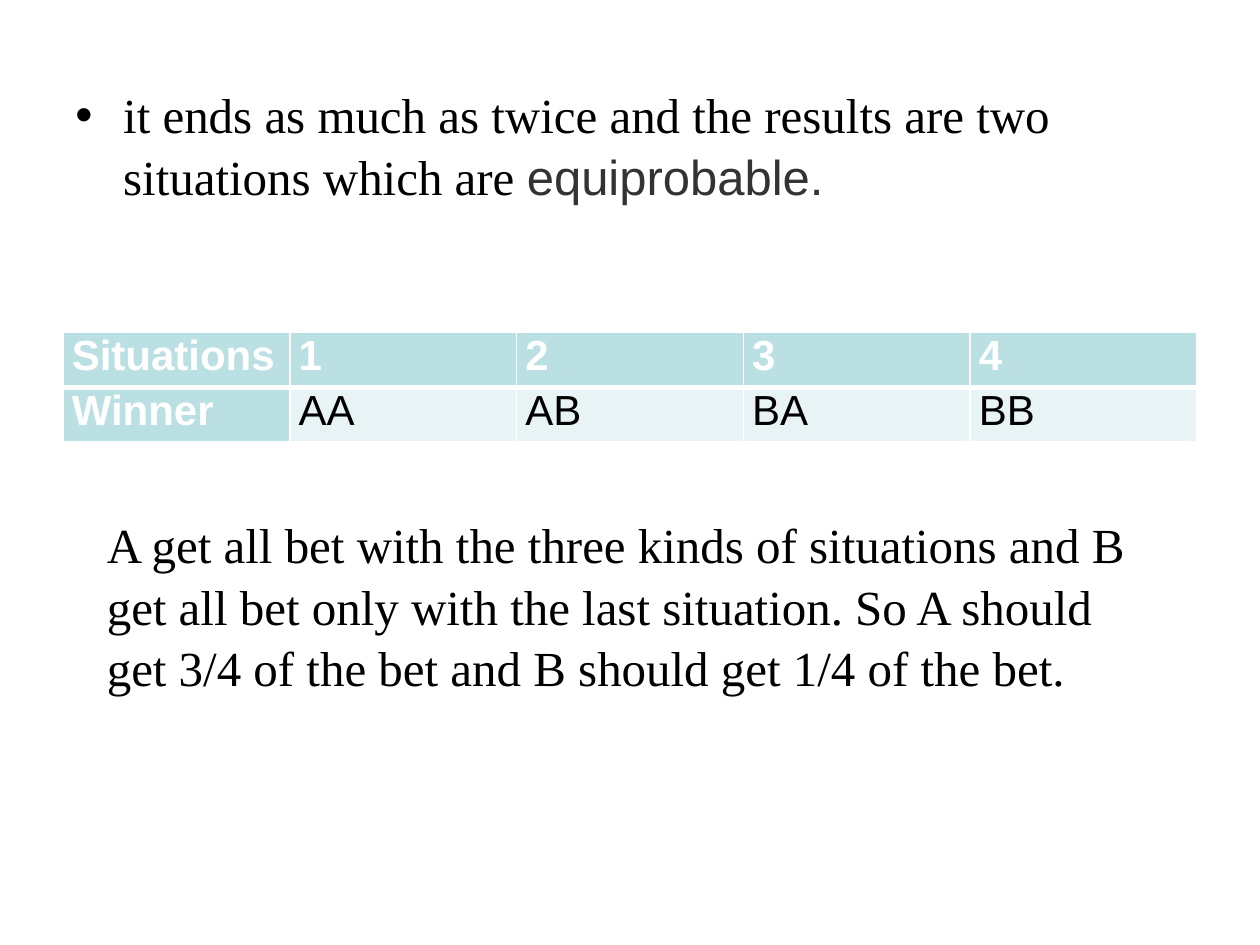
from dataclasses import dataclass

from lxml.etree import SubElement
from pptx import Presentation
from pptx.dml.color import RGBColor
from pptx.enum.text import PP_ALIGN
from pptx.oxml.ns import qn
from pptx.util import Inches, Pt


@dataclass(frozen=True)
class Theme:
    serif: str = "Times New Roman"
    sans: str = "Arial"
    ink: str = "000000"
    term: str = "333333"
    white: str = "FFFFFF"
    heading_fill: str = "BBE0E3"
    value_fill: str = "E7F3F4"
    body_size: int = 28
    table_size: int = 24
    line_spacing: float = 1.05
    rule: int = 1
    heading_rule: int = 3


THEME = Theme()
SITUATIONS = [
    ["Situations", "1", "2", "3", "4"],
    ["Winner", "AA", "AB", "BA", "BB"],
]


def style(font, face, size, color, bold=False):
    font.name = face
    font.size = Pt(size)
    font.bold = bold
    font.color.rgb = RGBColor.from_string(color)


def add_paragraph_box(slide, left, top, width, height):
    frame = slide.shapes.add_textbox(left, top, width, height).text_frame
    frame.word_wrap = True
    paragraph = frame.paragraphs[0]
    paragraph.line_spacing = THEME.line_spacing
    return paragraph


def add_premise(slide, left, top, width, height):
    premise = add_paragraph_box(slide, left, top, width, height)
    properties = premise._p.get_or_add_pPr()
    properties.set("marL", str(Inches(0.38)))
    properties.set("indent", str(-Inches(0.38)))
    SubElement(properties, qn("a:buFont"), typeface=THEME.sans)
    SubElement(properties, qn("a:buChar"), char="•")
    for words, face, color in (
        ("it ends as much as twice and the results are two situations which are ",
         THEME.serif, THEME.ink),
        ("equiprobable.", THEME.sans, THEME.term),
    ):
        run = premise.add_run()
        run.text = words
        style(run.font, face, THEME.body_size, color)


def set_borders(cell, top, bottom):
    properties = cell._tc.get_or_add_tcPr()
    widths = {"lnL": THEME.rule, "lnR": THEME.rule, "lnT": top, "lnB": bottom}
    for side, width in widths.items():
        border = SubElement(properties, qn(f"a:{side}"), w=str(Pt(width)))
        fill = SubElement(border, qn("a:solidFill"))
        SubElement(fill, qn("a:srgbClr"), val=THEME.white)


def fill_cell(cell, words, row, column):
    is_heading = row == 0 or column == 0
    cell.margin_left = cell.margin_right = Inches(0.07)
    cell.margin_top = cell.margin_bottom = 0
    cell.text = words
    paragraph = cell.text_frame.paragraphs[0]
    paragraph.alignment = PP_ALIGN.JUSTIFY
    style(paragraph.font, THEME.sans, THEME.table_size,
          THEME.white if is_heading else THEME.ink, is_heading)
    set_borders(cell,
                THEME.rule if row == 0 else THEME.heading_rule,
                THEME.heading_rule if row == 0 else THEME.rule)
    cell.fill.solid()
    cell.fill.fore_color.rgb = RGBColor.from_string(
        THEME.heading_fill if is_heading else THEME.value_fill)


def add_situations(slide, left, top, width, height):
    table = slide.shapes.add_table(
        len(SITUATIONS), len(SITUATIONS[0]), left, top, width, height).table
    table.first_col = True
    for row, entries in enumerate(SITUATIONS):
        for column, words in enumerate(entries):
            fill_cell(table.cell(row, column), words, row, column)


def add_conclusion(slide, left, top, width, height):
    conclusion = add_paragraph_box(slide, left, top, width, height)
    conclusion.text = (
        "A get all bet with the three kinds of situations and B get all bet "
        "only with the last situation. So A should get 3/4 of the bet and "
        "B should get 1/4 of the bet.")
    style(conclusion.font, THEME.serif, THEME.body_size, THEME.ink)


def main():
    deck = Presentation()
    deck.slide_width = Inches(10)
    deck.slide_height = Inches(7.5)
    slide = deck.slides.add_slide(deck.slide_layouts[6])
    add_premise(slide, Inches(0.5), Inches(0.6), Inches(9), Inches(1.18))
    add_situations(slide, Inches(0.5), Inches(2.64), Inches(9), Inches(0.87))
    add_conclusion(slide, Inches(0.75), Inches(4.01), Inches(8.43), Inches(1.51))
    deck.save("out.pptx")


if __name__ == "__main__":
    main()
